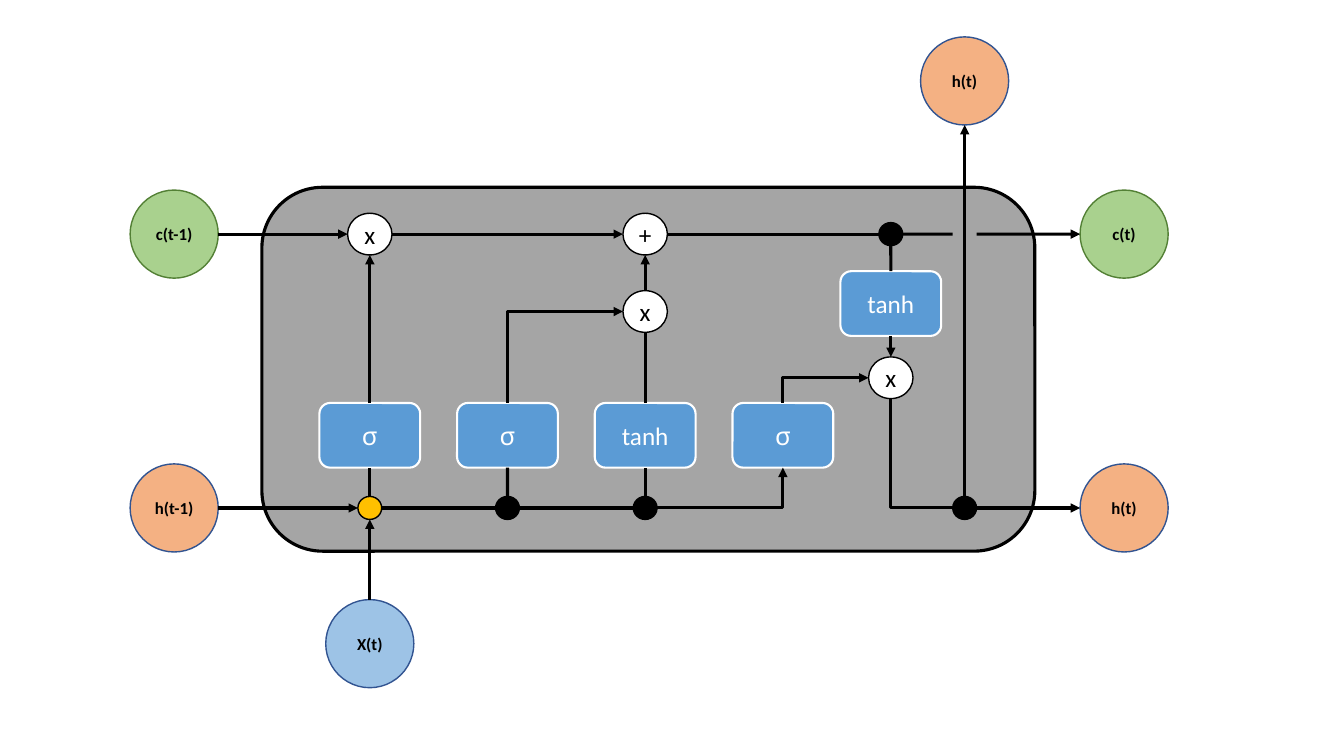
from dataclasses import dataclass

from lxml.etree import SubElement
from pptx import Presentation
from pptx.dml.color import RGBColor
from pptx.enum.shapes import MSO_CONNECTOR as LINK, MSO_SHAPE as SHAPE
from pptx.enum.text import MSO_ANCHOR as ANCHOR, PP_ALIGN as ALIGN
from pptx.oxml.ns import qn
from pptx.util import Cm, Pt


@dataclass(frozen=True)
class Theme:
    cell: str = "A5A5A5"
    ink: str = "000000"
    paper: str = "FFFFFF"
    gate: str = "5B9BD5"
    merge: str = "FFC000"
    hidden: str = "F4B183"
    state: str = "A9D18E"
    entry: str = "9DC3E6"
    blue_edge: str = "325491"
    green_edge: str = "538035"
    font: str = "Calibri"
    sigma_font: str = "Comic Neue"
    port_size: int = 12
    label_size: int = 18
    wire: float = 2.25
    gate_line: float = 1.5
    thin_line: float = 1


@dataclass(frozen=True)
class Box:
    left: float
    top: float
    width: float
    height: float


THEME = Theme()
CELL = Box(6.6, 4.72, 19.48, 9.17)

# Sizes of the parts, in cm
PORT = (2.22, 2.22)
OPERATOR = (1.12, 1.05)
JUNCTION = (0.6, 0.58)
GATE = (2.54, 1.63)

# Columns and rows inside the cell, in cm
FORGET, INPUT, CANDIDATE, OUTPUT = (2.72 + 3.47 * step for step in range(4))
RESULT, EXIT = 15.85, 17.71
STATE_ROW, TANH_ROW, INPUT_ROW, RESULT_ROW = 1.18, 2.93, 3.13, 4.8
GATE_ROW, BUS_ROW = 6.25, 8.08


def add_part(page, kind, box, fill, edge, weight):
    part = page.shapes.add_shape(
        kind, Cm(box.left), Cm(box.top), Cm(box.width), Cm(box.height))
    part.shadow.inherit = False
    part.fill.solid()
    part.fill.fore_color.rgb = RGBColor.from_string(fill)
    part.line.color.rgb = RGBColor.from_string(edge)
    part.line.width = Pt(weight)
    return part


def add_label(part, text, size, color, bold=False):
    frame = part.text_frame
    frame.text = text
    frame.word_wrap = False
    frame.vertical_anchor = ANCHOR.MIDDLE
    frame.margin_left = frame.margin_right = 0
    frame.margin_top = frame.margin_bottom = 0
    para = frame.paragraphs[0]
    para.alignment = ALIGN.CENTER
    font = para.runs[0].font
    font.name = THEME.sigma_font if text == "σ" else THEME.font
    font.size, font.bold = Pt(size), bold
    font.color.rgb = RGBColor.from_string(color)


def centered(cell, x, y, size):
    """Box of the given size around a point measured from the cell's corner."""
    width, height = size
    return Box(cell.left + x - width / 2, cell.top + y - height / 2, width, height)


def add_port(page, cell, text, x, y, fill, edge=THEME.blue_edge):
    box = centered(cell, x, y, PORT)
    port = add_part(page, SHAPE.OVAL, box, fill, edge, THEME.thin_line)
    add_label(port, text, THEME.port_size, THEME.ink, bold=True)
    return port


def add_gate(page, cell, text, x, y):
    box = centered(cell, x, y, GATE)
    gate = add_part(page, SHAPE.ROUNDED_RECTANGLE, box,
                    THEME.gate, THEME.paper, THEME.gate_line)
    add_label(gate, text, THEME.label_size, THEME.paper)
    return gate


def add_operator(page, cell, text, x, y):
    box = centered(cell, x, y, OPERATOR)
    operator = add_part(page, SHAPE.FLOWCHART_CONNECTOR, box,
                        THEME.paper, THEME.ink, THEME.thin_line)
    add_label(operator, text, THEME.label_size, THEME.ink)
    return operator


def add_junction(page, cell, x, y, fill=THEME.ink):
    box = centered(cell, x, y, JUNCTION)
    return add_part(page, SHAPE.FLOWCHART_CONNECTOR, box,
                    fill, THEME.ink, THEME.thin_line)


def side(part, name):
    """Middle of one side of a part."""
    across, down = {"top": (0.5, 0), "bottom": (0.5, 1),
                    "left": (0, 0.5), "right": (1, 0.5)}[name]
    return (int(part.left + part.width * across),
            int(part.top + part.height * down))


def add_wire(page, start, end, arrow=None, bent=False):
    """A bent wire leaves its start sideways and reaches its end upright."""
    kind = LINK.ELBOW if bent else LINK.STRAIGHT
    wire = page.shapes.add_connector(kind, *start, *end)
    wire.line.color.rgb = RGBColor.from_string(THEME.ink)
    wire.line.width = Pt(THEME.wire)
    outline = wire._element.spPr
    if bent:
        outline.find(qn("a:prstGeom")).set("prst", "bentConnector2")
    if arrow:
        SubElement(outline.find(qn("a:ln")), qn(f"a:{arrow}End"), type="triangle")
    SubElement(outline, qn("a:effectLst"))


def draw_ports(page, cell):
    before, after = -2.21, 21.73
    return {
        "x": add_port(page, cell, "X(t)", FORGET, 11.5, THEME.entry),
        "h_in": add_port(page, cell, "h(t-1)", before, BUS_ROW, THEME.hidden),
        "h_out": add_port(page, cell, "h(t)", after, BUS_ROW, THEME.hidden),
        "h_up": add_port(page, cell, "h(t)", EXIT, -2.68, THEME.hidden),
        "c_in": add_port(page, cell, "c(t-1)", before, STATE_ROW,
                         THEME.state, THEME.green_edge),
        "c_out": add_port(page, cell, "c(t)", after, STATE_ROW,
                          THEME.state, THEME.green_edge),
    }


def draw_cell(page, cell):
    add_part(page, SHAPE.ROUNDED_RECTANGLE, cell, THEME.cell, THEME.ink, THEME.wire)
    gates = {"forget": ("σ", FORGET, GATE_ROW), "input": ("σ", INPUT, GATE_ROW),
             "candidate": ("tanh", CANDIDATE, GATE_ROW),
             "output": ("σ", OUTPUT, GATE_ROW), "squash": ("tanh", RESULT, TANH_ROW)}
    operators = {"keep": ("x", FORGET, STATE_ROW), "add": ("+", CANDIDATE, STATE_ROW),
                 "scale": ("x", CANDIDATE, INPUT_ROW),
                 "emit": ("x", RESULT, RESULT_ROW)}
    junctions = {"merge": (FORGET, BUS_ROW, THEME.merge), "to_input": (INPUT, BUS_ROW),
                 "to_candidate": (CANDIDATE, BUS_ROW),
                 "to_squash": (RESULT, STATE_ROW), "exit": (EXIT, BUS_ROW)}
    parts = {}
    for add, group in ((add_gate, gates), (add_operator, operators),
                       (add_junction, junctions)):
        for name, values in group.items():
            parts[name] = add(page, cell, *values)
    return parts


def draw_wires(page, cell, parts):
    # Straight wires: from, side, to, side, arrowhead
    for origin, leave, target, reach, arrow in (
            ("c_in", "right", "keep", "left", "tail"),
            ("keep", "right", "add", "left", "tail"),
            ("add", "right", "to_squash", "left", None),
            ("h_in", "right", "merge", "left", "tail"),
            ("x", "top", "merge", "bottom", "tail"),
            ("merge", "right", "to_input", "left", None),
            ("to_input", "right", "to_candidate", "left", None),
            ("merge", "top", "forget", "bottom", None),
            ("to_input", "top", "input", "bottom", None),
            ("to_candidate", "top", "candidate", "bottom", None),
            ("forget", "top", "keep", "bottom", "tail"),
            ("candidate", "top", "scale", "bottom", None),
            ("scale", "top", "add", "bottom", "tail"),
            ("to_squash", "bottom", "squash", "top", None),
            ("squash", "bottom", "emit", "top", "tail"),
            ("exit", "top", "h_up", "bottom", "tail"),
            ("exit", "right", "h_out", "left", "tail")):
        add_wire(page, side(parts[origin], leave), side(parts[target], reach), arrow)

    # Bent wires
    for origin, leave, target, reach, arrow in (
            ("scale", "left", "input", "top", "head"),
            ("emit", "left", "output", "top", "head"),
            ("to_candidate", "right", "output", "bottom", "tail"),
            ("exit", "left", "emit", "bottom", None)):
        add_wire(page, side(parts[origin], leave), side(parts[target], reach),
                 arrow, bent=True)

    # State line, open where the hidden output crosses it
    row = Cm(cell.top + STATE_ROW)
    gap_left, gap_right = (Cm(cell.left + EXIT + shift) for shift in (-0.3, 0.3))
    add_wire(page, side(parts["to_squash"], "right"), (gap_left, row))
    add_wire(page, (gap_right, row), side(parts["c_out"], "left"), "tail")


deck = Presentation()
deck.slide_width, deck.slide_height = Cm(33.87), Cm(19.05)
page = deck.slides.add_slide(deck.slide_layouts[6])
parts = draw_cell(page, CELL) | draw_ports(page, CELL)
draw_wires(page, CELL, parts)
deck.save("out.pptx")
